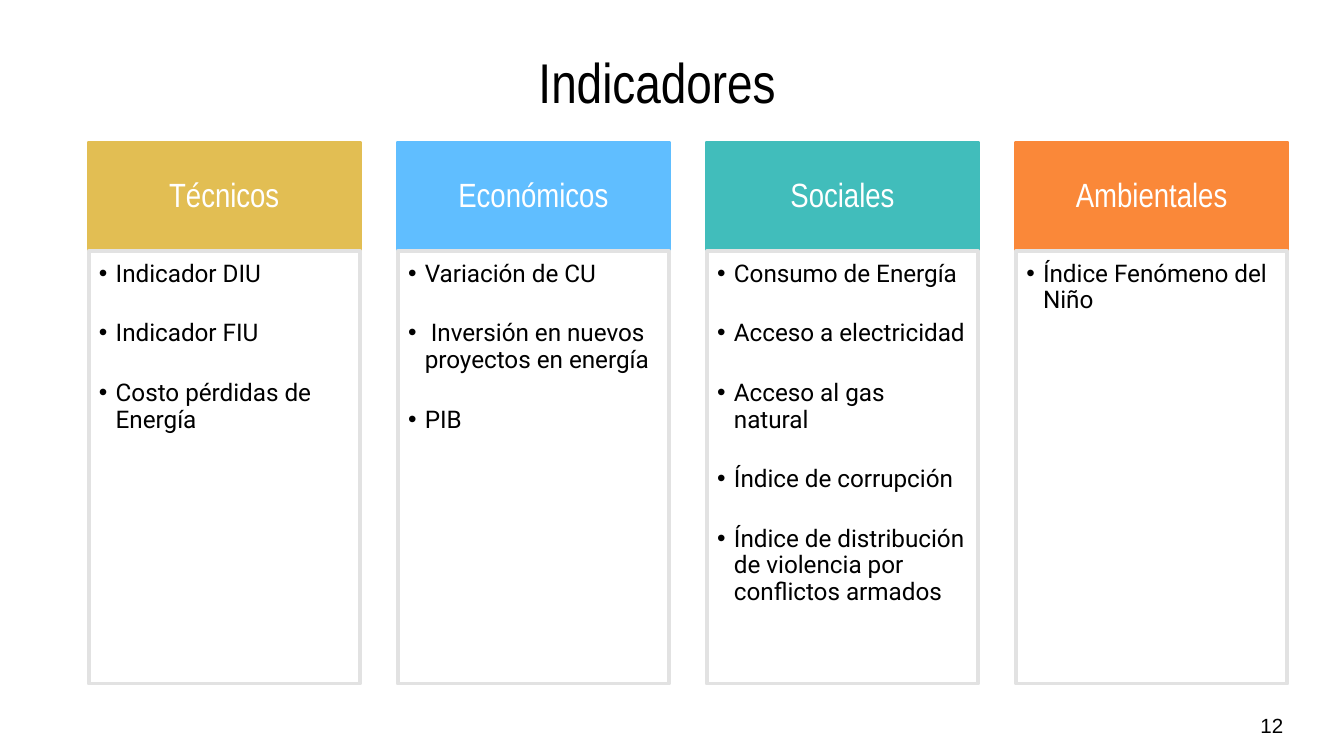
"""Build the slide of indicators in four categories."""
from dataclasses import dataclass

import pptx
import pptx.dml.color
import pptx.enum.shapes
import pptx.enum.text
import pptx.util
from lxml import etree
from pptx.oxml.ns import qn

Inches = pptx.util.Inches
Pt = pptx.util.Pt
Align = pptx.enum.text.PP_ALIGN
Anchor = pptx.enum.text.MSO_ANCHOR


@dataclass(frozen=True)
class Theme:
    black: str = "000000"
    white: str = "FFFFFF"
    border: str = "E2E2E2"
    gold: str = "E2BE53"
    blue: str = "60BEFF"
    teal: str = "41BDBB"
    orange: str = "FA8839"
    heading_font: str = "Arial Narrow"
    list_font: str = "Roboto"
    number_font: str = "Arial"
    title_size: int = 30
    heading_size: int = 18
    list_size: int = 13
    number_size: int = 11


THEME = Theme()

CATEGORIES = [
    ("Técnicos", THEME.gold,
     ["Indicador DIU", "Indicador FIU", "Costo pérdidas de Energía"]),
    ("Económicos", THEME.blue,
     ["Variación de CU", " Inversión en nuevos proyectos en energía", "PIB"]),
    ("Sociales", THEME.teal,
     ["Consumo de Energía", "Acceso a electricidad", "Acceso al gas natural",
      "Índice de corrupción",
      "Índice de distribución de violencia por conflictos armados"]),
    ("Ambientales", THEME.orange, ["Índice Fenómeno del Niño"]),
]

SLIDE_WIDTH = 10
LEFT, PITCH = 0.66, 2.3
WIDTH = PITCH / 1.14
HEADER_TOP, HEADER_HEIGHT, LIST_HEIGHT = 1.06, 0.4 * WIDTH, 3.22


def rgb(color):
    return pptx.dml.color.RGBColor.from_string(color)


def set_frame(tf, insets, anchor):
    tf.auto_size = pptx.enum.text.MSO_AUTO_SIZE.NONE
    tf.word_wrap = True
    tf.vertical_anchor = anchor
    tf.margin_left, tf.margin_top, tf.margin_right, tf.margin_bottom = map(Inches, insets)


def write(p, text, *, size, font, color=THEME.black, align=Align.LEFT,
          line_spacing=1.0, space_after=0):
    p.alignment = align
    p.line_spacing = line_spacing
    p.space_before = Pt(0)
    p.space_after = Pt(space_after)
    r = p.add_run()
    r.text = text
    r.font.size = Pt(size)
    r.font.name = font
    r.font.color.rgb = rgb(color)


def add_bullet(p, indent):
    pPr = p._p.get_or_add_pPr()
    pPr.set("marL", str(indent))
    pPr.set("indent", str(-indent))
    etree.SubElement(pPr, qn("a:buFont"), typeface=THEME.number_font)
    etree.SubElement(pPr, qn("a:buChar"), char="•")


def add_box(slide, left, top, height, fill, line):
    sp = slide.shapes.add_shape(
        pptx.enum.shapes.MSO_SHAPE.RECTANGLE,
        Inches(left), Inches(top), Inches(WIDTH), Inches(height))
    sp.shadow.inherit = False
    sp.fill.solid()
    sp.fill.fore_color.rgb = rgb(fill)
    sp.line.color.rgb = rgb(line)
    sp.line.width = Pt(2)
    return sp


def add_header(slide, left, text, color):
    sp = add_box(slide, left, HEADER_TOP, HEADER_HEIGHT, color, color)
    set_frame(sp.text_frame, (0.14, 0.08, 0.14, 0.08), Anchor.MIDDLE)
    write(sp.text_frame.paragraphs[0], text, size=THEME.heading_size,
          font=THEME.heading_font, color=THEME.white, align=Align.CENTER,
          line_spacing=0.9)


def add_list(slide, left, items):
    sp = add_box(slide, left, HEADER_TOP + HEADER_HEIGHT, LIST_HEIGHT,
                 THEME.white, THEME.border)
    fill_color = sp._element.spPr.find(qn("a:solidFill"))[0]
    etree.SubElement(fill_color, qn("a:alpha"), val="90000")
    tf = sp.text_frame
    insets = [Pt(share * THEME.list_size).inches for share in (0.42, 0.42, 0.56, 0.63)]
    set_frame(tf, insets, Anchor.TOP)
    for i, item in enumerate(items):
        p = tf.add_paragraph() if i else tf.paragraphs[0]
        write(p, item, size=THEME.list_size, font=THEME.list_font,
              line_spacing=0.9, space_after=18)
        add_bullet(p, Pt(9))


def add_title(slide, text):
    sp = slide.shapes.title
    sp.left, sp.top, sp.width, sp.height = map(Inches, (0.87, 0.4, 8.04, 0.41))
    set_frame(sp.text_frame, (0.1, 0.1, 0.1, 0.1), Anchor.MIDDLE)
    write(sp.text_frame.paragraphs[0], text, size=THEME.title_size,
          font=THEME.heading_font, align=Align.CENTER)


def add_page_number(slide, text):
    sp = slide.shapes.add_textbox(*map(Inches, (9.28, 5.26, 0.6, 0.43)))
    set_frame(sp.text_frame, (0.1, 0.05, 0.1, 0.05), Anchor.TOP)
    write(sp.text_frame.paragraphs[0], text, size=THEME.number_size,
          font=THEME.number_font)


def main():
    prs = pptx.Presentation()
    prs.slide_width = Inches(SLIDE_WIDTH)
    prs.slide_height = Inches(SLIDE_WIDTH * 9 / 16)
    slide = prs.slides.add_slide(prs.slide_layouts.get_by_name("Title Only"))
    add_title(slide, "Indicadores")
    for i, (name, color, items) in enumerate(CATEGORIES):
        left = LEFT + i * PITCH
        add_header(slide, left, name, color)
        add_list(slide, left, items)
    add_page_number(slide, "12")
    prs.save("out.pptx")


if __name__ == "__main__":
    main()
